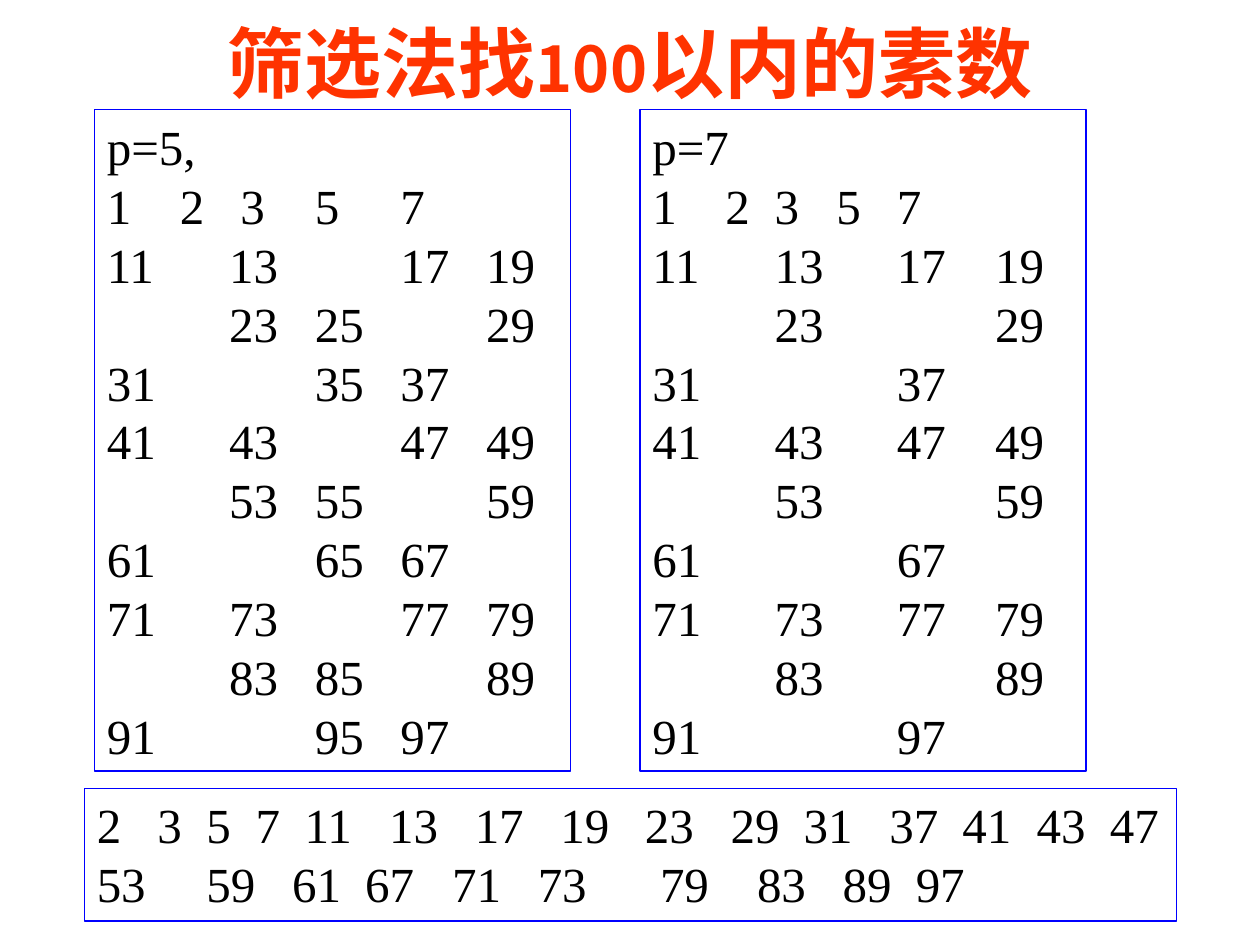
from dataclasses import dataclass

from lxml.etree import SubElement
from pptx import Presentation
from pptx.dml.color import RGBColor
from pptx.enum.text import MSO_ANCHOR as Anchor, MSO_AUTO_SIZE as AutoSize, PP_ALIGN as Align
from pptx.enum.shapes import MSO_SHAPE as Preset
from pptx.oxml.ns import qn
from pptx.util import Inches, Pt


@dataclass(frozen=True)
class Theme:
    title_color: RGBColor = RGBColor(0xFF, 0x33, 0x00)
    text_color: RGBColor = RGBColor(0x00, 0x00, 0x00)
    border_color: RGBColor = RGBColor(0x00, 0x00, 0xFF)
    title_font: str = "Noto Sans CJK SC"
    text_font: str = "Times New Roman"
    title_size: int = 44
    number_size: int = 36
    text_size: int = 28
    border_width: float = 0.75


@dataclass(frozen=True)
class Row:
    text: str
    stops: tuple[float, ...] = ()


@dataclass(frozen=True)
class Panel:
    left: float
    top: float
    width: float
    height: float
    rows: list[Row]
    anchor: Anchor = Anchor.MIDDLE


THEME = Theme()
LIMIT = 100


def survivors(sieved: tuple[int, ...]) -> list[int]:
    return [n for n in range(1, LIMIT)
            if all(n == p or n % p for p in sieved)]


def tabbed(numbers: list[int], stops: tuple[float, ...]) -> Row:
    return Row("\t".join(str(n) for n in numbers), stops)


def sieve_rows(heading: str, sieved: tuple[int, ...], digits: tuple[int, ...],
               first_stops: tuple[float, ...], stops: tuple[float, ...]) -> list[Row]:
    left = survivors(sieved)
    rows = [Row(heading), tabbed([n for n in left if n < 10], first_stops)]
    for ten in range(10, LIMIT, 10):
        cells = [str(ten + d) if ten + d in left else "" for d in digits]
        rows.append(Row("\t".join(cells).rstrip("\t"), stops))
    return rows


def prime_rows() -> list[Row]:
    primes = survivors((2, 3, 5, 7))[1:]
    split = primes.index(53)
    return [
        tabbed(primes[:split], (0.48, 0.87, 1.26, 1.65, 2.32, 3.0, 3.68,
                                4.35, 5.03, 5.61, 6.29, 6.87, 7.46, 8.04)),
        tabbed(primes[split:], (0.87, 1.55, 2.13, 2.82, 3.5, 4.47, 5.24, 5.92, 6.5)),
    ]


def set_tab_stops(para, stops: tuple[float, ...]) -> None:
    tab_list = SubElement(para._p.get_or_add_pPr(), qn("a:tabLst"))
    for stop in stops:
        SubElement(tab_list, qn("a:tab"), pos=str(Inches(stop)), algn="l")


def draw_panel(page, panel: Panel) -> None:
    box = page.shapes.add_shape(Preset.RECTANGLE, Inches(panel.left), Inches(panel.top),
                                Inches(panel.width), Inches(panel.height))
    box.shadow.inherit = False
    box.fill.background()
    box.line.color.rgb = THEME.border_color
    box.line.width = Pt(THEME.border_width)
    frame = box.text_frame
    frame.word_wrap = True
    frame.vertical_anchor = panel.anchor
    frame.text = "\n".join(row.text for row in panel.rows)
    for para, row in zip(frame.paragraphs, panel.rows):
        para.alignment = Align.LEFT
        if row.stops:
            set_tab_stops(para, row.stops)
        for span in para.runs:
            span.font.name = THEME.text_font
            span.font.size = Pt(THEME.text_size)
            span.font.color.rgb = THEME.text_color


def draw_title(page) -> None:
    title = page.shapes.title
    title.left, title.top = Inches(0.33), Inches(0.13)
    title.width, title.height = Inches(9.34), Inches(0.72)
    frame = title.text_frame
    frame.auto_size = AutoSize.NONE
    frame.vertical_anchor = Anchor.MIDDLE
    para = frame.paragraphs[0]
    para.alignment = Align.CENTER
    for text, size in (("筛选法找", THEME.title_size), ("100", THEME.number_size),
                       ("以内的素数", THEME.title_size)):
        span = para.add_run()
        span.text = text
        span.font.name = THEME.title_font
        span.font.size = Pt(size)
        span.font.bold = True
        span.font.color.rgb = THEME.title_color
        SubElement(span.font._element, qn("a:ea"), typeface=THEME.title_font)


def main() -> None:
    deck = Presentation()
    deck.slide_width, deck.slide_height = Inches(10), Inches(7.5)
    page = deck.slides.add_slide(deck.slide_layouts[5])
    draw_title(page)
    panels = [
        Panel(0.75, 0.87, 3.78, 5.25, sieve_rows(
            "p=5,", (2, 3), (1, 3, 5, 7, 9),
            (0.58, 1.06, 1.65, 2.33), (0.97, 1.65, 2.33, 3.01))),
        Panel(5.08, 0.87, 3.54, 5.25, sieve_rows(
            "p=7", (2, 3, 5), (1, 3, 7, 9),
            (0.58, 0.97, 1.46, 1.94), (0.97, 1.94, 2.72))),
        Panel(0.67, 6.26, 8.67, 1.05, prime_rows(), Anchor.TOP),
    ]
    for panel in panels:
        draw_panel(page, panel)
    deck.save("out.pptx")


if __name__ == "__main__":
    main()
